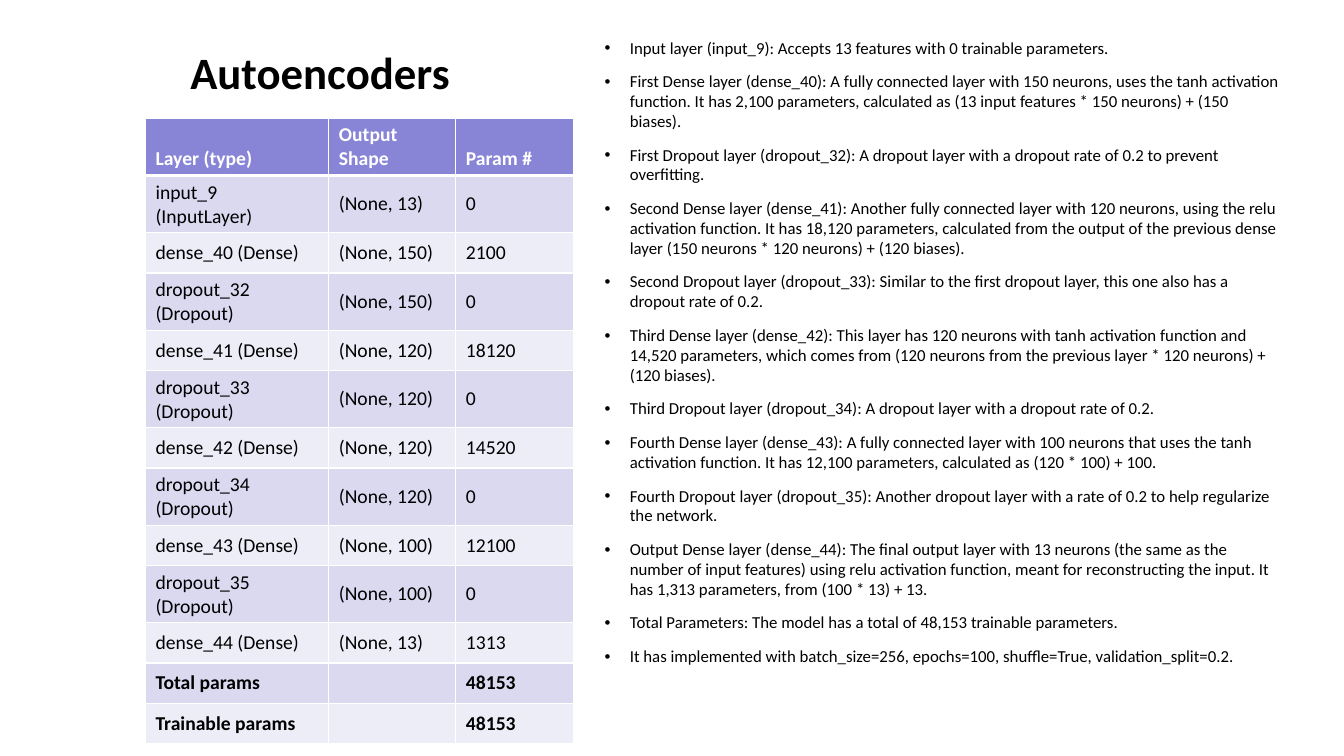
from typing import NamedTuple

from lxml import etree
from pptx import Presentation
from pptx.dml.color import RGBColor
from pptx.enum.text import MSO_ANCHOR
from pptx.oxml.ns import qn
from pptx.util import Pt

MIDDLE = MSO_ANCHOR.MIDDLE
BOTTOM = MSO_ANCHOR.BOTTOM
TOP = MSO_ANCHOR.TOP

BLACK = RGBColor(0x00, 0x00, 0x00)
WHITE = RGBColor(0xFF, 0xFF, 0xFF)
HEADER_PURPLE = RGBColor(0x88, 0x85, 0xD7)
DARK_BAND = RGBColor(0xDA, 0xD9, 0xF0)
LIGHT_BAND = RGBColor(0xED, 0xED, 0xF8)

FONT = "Calibri"
COLUMN_WIDTHS = (131, 90.75, 84.25)
ROW_HEIGHT = 28.8
BULLET_INDENT = 18


class Area(NamedTuple):
    left: float
    top: float
    width: float
    height: float


class Layer(NamedTuple):
    label: str
    shape: str
    params: str
    bold: bool = False


TITLE_AREA = Area(128.9, 18.7, 738.7, 65.5)
TABLE_AREA = Area(103.9, 84.5, sum(COLUMN_WIDTHS), 13 * ROW_HEIGHT)
NOTES_AREA = Area(424.8, 23.8, 497.5, 506.9)

LAYERS = (
    Layer("Layer (type)", "Output Shape", "Param #", bold=True),
    Layer("input_9 (InputLayer)", "(None, 13)", "0"),
    Layer("dense_40 (Dense)", "(None, 150)", "2100"),
    Layer("dropout_32 (Dropout)", "(None, 150)", "0"),
    Layer("dense_41 (Dense)", "(None, 120)", "18120"),
    Layer("dropout_33 (Dropout)", "(None, 120)", "0"),
    Layer("dense_42 (Dense)", "(None, 120)", "14520"),
    Layer("dropout_34 (Dropout)", "(None, 120)", "0"),
    Layer("dense_43 (Dense)", "(None, 100)", "12100"),
    Layer("dropout_35 (Dropout)", "(None, 100)", "0"),
    Layer("dense_44 (Dense)", "(None, 13)", "1313"),
    Layer("Total params", "", "48153", bold=True),
    Layer("Trainable params", "", "48153", bold=True),
)

EXPLANATIONS = (
    "Input layer (input_9): Accepts 13 features with 0 trainable parameters.",
    "First Dense layer (dense_40): A fully connected layer with 150 neurons, uses the tanh "
    "activation function. It has 2,100 parameters, calculated as (13 input features * 150 "
    "neurons) + (150 biases).",
    "First Dropout layer (dropout_32): A dropout layer with a dropout rate of 0.2 to prevent "
    "overfitting.",
    "Second Dense layer (dense_41): Another fully connected layer with 120 neurons, using the "
    "relu activation function. It has 18,120 parameters, calculated from the output of the "
    "previous dense layer (150 neurons * 120 neurons) + (120 biases).",
    "Second Dropout layer (dropout_33): Similar to the first dropout layer, this one also has a "
    "dropout rate of 0.2.",
    "Third Dense layer (dense_42): This layer has 120 neurons with tanh activation function and "
    "14,520 parameters, which comes from (120 neurons from the previous layer * 120 neurons) + "
    "(120 biases).",
    "Third Dropout layer (dropout_34): A dropout layer with a dropout rate of 0.2.",
    "Fourth Dense layer (dense_43): A fully connected layer with 100 neurons that uses the tanh "
    "activation function. It has 12,100 parameters, calculated as (120 * 100) + 100.",
    "Fourth Dropout layer (dropout_35): Another dropout layer with a rate of 0.2 to help "
    "regularize the network.",
    "Output Dense layer (dense_44): The final output layer with 13 neurons (the same as the "
    "number of input features) using relu activation function, meant for reconstructing the "
    "input. It has 1,313 parameters, from (100 * 13) + 13.",
    "Total Parameters: The model has a total of 48,153 trainable parameters.",
    "It has implemented with batch_size=256, epochs=100, shuffle=True, validation_split=0.2.",
)


def in_points(area: Area) -> list[Pt]:
    return [Pt(length) for length in area]


def write_text(paragraph, text: str, *, size: float, bold: bool = False,
               color: RGBColor = BLACK) -> None:
    span = paragraph.add_run()
    span.text = text
    span.font.name = FONT
    span.font.size = Pt(size)
    span.font.bold = bold
    span.font.color.rgb = color


def add_text_frame(page, area: Area, anchor: MSO_ANCHOR):
    frame = page.shapes.add_textbox(*in_points(area)).text_frame
    frame.word_wrap = True
    frame.vertical_anchor = anchor
    return frame


def add_bullet(paragraph) -> None:
    properties = paragraph._p.get_or_add_pPr()
    properties.set("marL", str(Pt(BULLET_INDENT)))
    properties.set("indent", str(-Pt(BULLET_INDENT)))
    etree.SubElement(properties, qn("a:buFont"), typeface="Arial")
    etree.SubElement(properties, qn("a:buChar"), char="•")


def add_borders(cell, widths: dict[str, float]) -> None:
    properties = cell._tc.get_or_add_tcPr()
    for side, width in widths.items():
        line = etree.SubElement(properties, qn(f"a:ln{side}"), w=str(Pt(width)))
        fill = etree.SubElement(line, qn("a:solidFill"))
        etree.SubElement(fill, qn("a:srgbClr"), val=str(WHITE))


def add_layer_table(page) -> None:
    table = page.shapes.add_table(len(LAYERS), len(COLUMN_WIDTHS), *in_points(TABLE_AREA)).table
    for column, width in zip(table.columns, COLUMN_WIDTHS):
        column.width = Pt(width)
    for index, layer in enumerate(LAYERS):
        header = index == 0
        band = HEADER_PURPLE if header else DARK_BAND if index % 2 else LIGHT_BAND
        widths = {"L": 1, "R": 1, "T": 3 if index == 1 else 1, "B": 3 if header else 1}
        table.rows[index].height = Pt(ROW_HEIGHT)
        for cell, text in zip(table.rows[index].cells, (layer.label, layer.shape, layer.params)):
            add_borders(cell, widths)
            cell.fill.solid()
            cell.fill.fore_color.rgb = band
            cell.vertical_anchor = BOTTOM if header else MIDDLE
            if text:
                write_text(cell.text_frame.paragraphs[0], text, size=14, bold=layer.bold,
                           color=WHITE if header else BLACK)


def add_explanations(page) -> None:
    frame = add_text_frame(page, NOTES_AREA, TOP)
    for index, text in enumerate(EXPLANATIONS):
        paragraph = frame.add_paragraph() if index else frame.paragraphs[0]
        paragraph.space_before = Pt(10)
        paragraph.line_spacing = 0.98
        add_bullet(paragraph)
        write_text(paragraph, text, size=12)


def main() -> None:
    deck = Presentation()
    deck.slide_width, deck.slide_height = Pt(960), Pt(540)
    page = deck.slides.add_slide(deck.slide_layouts[6])
    title = add_text_frame(page, TITLE_AREA, MIDDLE)
    write_text(title.paragraphs[0], "Autoencoders", size=32, bold=True)
    add_layer_table(page)
    add_explanations(page)
    deck.save("out.pptx")


if __name__ == "__main__":
    main()
